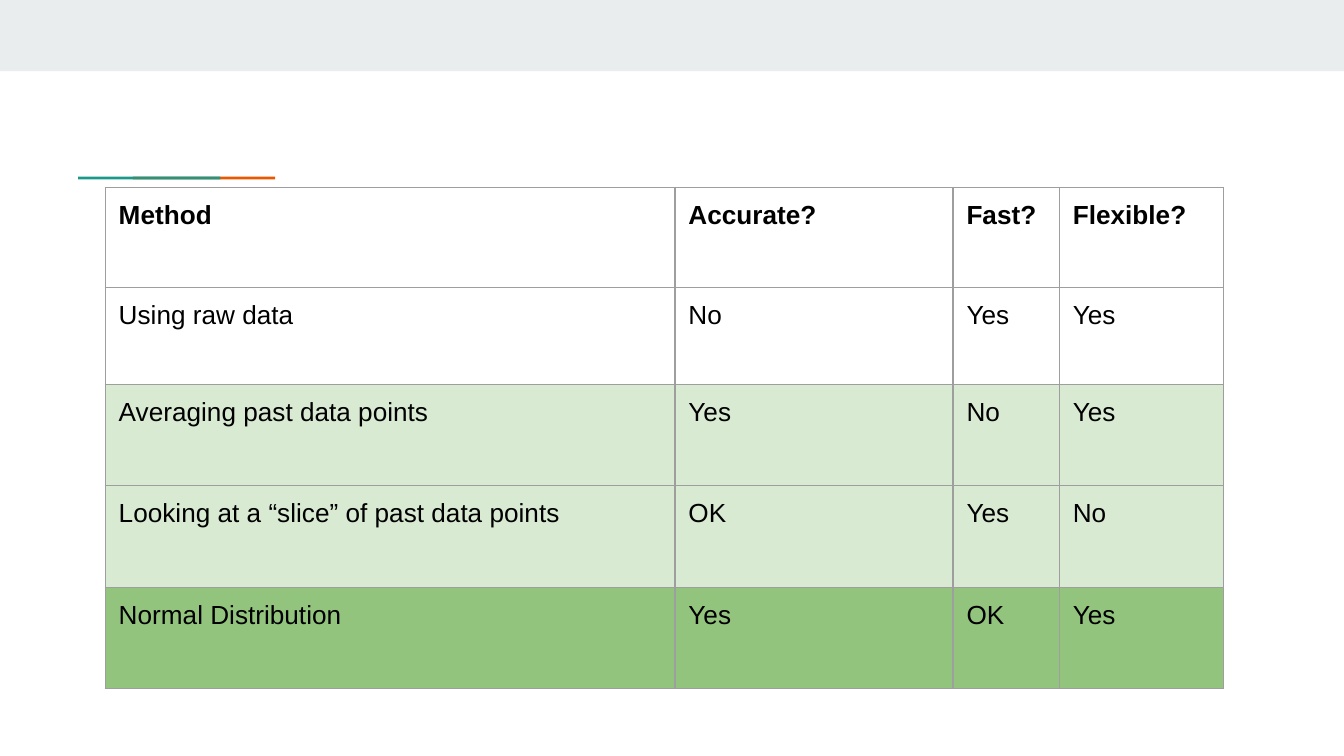
from dataclasses import dataclass
from typing import Optional

from lxml.etree import SubElement
from pptx import Presentation
from pptx.dml.color import RGBColor
from pptx.enum.shapes import MSO_SHAPE
from pptx.oxml.ns import qn
from pptx.slide import Slide
from pptx.table import _Cell
from pptx.util import Pt


@dataclass(frozen=True)
class Theme:
    band: str = "E9EDEE"
    orange: str = "EB5600"
    teal: str = "1A9988"
    text: str = "000000"
    border: str = "9E9E9E"
    light_green: str = "D9EAD3"
    green: str = "93C47D"
    font: str = "Arial"
    text_size: float = 14
    border_width: float = 0.75
    cell_margin: float = 7.2


@dataclass(frozen=True)
class Bar:
    left: float
    top: float
    width: float
    height: float
    color: str


@dataclass(frozen=True)
class MethodRow:
    entries: tuple[str, str, str, str]
    height: float
    fill: Optional[str] = None
    bold: bool = False


THEME = Theme()
BARS = (
    Bar(0, 0, 720, 38.2, THEME.band),
    Bar(71.2, 94.6, 76.2, 1.6, THEME.orange),
    Bar(41.9, 94.6, 76.2, 1.6, THEME.teal),
)
COLUMN_WIDTHS = (305.2, 149, 57, 87.8)
ROWS = (
    MethodRow(("Method", "Accurate?", "Fast?", "Flexible?"), 53.4, bold=True),
    MethodRow(("Using raw data", "No", "Yes", "Yes"), 52.2),
    MethodRow(("Averaging past data points", "Yes", "No", "Yes"), 54.2, THEME.light_green),
    MethodRow(("Looking at a “slice” of past data points", "OK", "Yes", "No"), 54.4, THEME.light_green),
    MethodRow(("Normal Distribution", "Yes", "OK", "Yes"), 54, THEME.green),
)


def draw_bar(slide: Slide, bar: Bar) -> None:
    """Draw a plain filled rectangle."""
    rectangle = slide.shapes.add_shape(
        MSO_SHAPE.RECTANGLE, Pt(bar.left), Pt(bar.top), Pt(bar.width), Pt(bar.height)
    )
    rectangle.shadow.inherit = False
    rectangle.fill.solid()
    rectangle.fill.fore_color.rgb = RGBColor.from_string(bar.color)
    rectangle.line.fill.background()


def add_borders(cell: _Cell) -> None:
    """Outline a cell on all four sides."""
    properties = cell._tc.get_or_add_tcPr()
    for position, side in enumerate(("lnL", "lnR", "lnT", "lnB")):
        border = SubElement(properties, qn(f"a:{side}"), w=str(Pt(THEME.border_width)))
        properties.insert(position, border)
        paint = SubElement(border, qn("a:solidFill"))
        SubElement(paint, qn("a:srgbClr"), val=THEME.border)


def fill_cell(cell: _Cell, entry: str, row: MethodRow) -> None:
    """Write and style one table cell."""
    cell.margin_left = cell.margin_right = Pt(THEME.cell_margin)
    cell.margin_top = cell.margin_bottom = Pt(THEME.cell_margin)
    if row.fill:
        cell.fill.solid()
        cell.fill.fore_color.rgb = RGBColor.from_string(row.fill)
    else:
        cell.fill.background()
    add_borders(cell)
    cell.text_frame.text = entry
    font = cell.text_frame.paragraphs[0].runs[0].font
    font.name = THEME.font
    font.size = Pt(THEME.text_size)
    font.bold = row.bold
    font.color.rgb = RGBColor.from_string(THEME.text)


def draw_methods(slide: Slide, left: float, top: float) -> None:
    """Draw the comparison of methods as a table."""
    methods = slide.shapes.add_table(
        len(ROWS), len(COLUMN_WIDTHS), Pt(left), Pt(top),
        Pt(sum(COLUMN_WIDTHS)), Pt(sum(row.height for row in ROWS)),
    ).table
    methods.first_row = methods.horz_banding = False
    for column, width in zip(methods.columns, COLUMN_WIDTHS):
        column.width = Pt(width)
    for table_row, row in zip(methods.rows, ROWS):
        table_row.height = Pt(row.height)
        for cell, entry in zip(table_row.cells, row.entries):
            fill_cell(cell, entry, row)


def main() -> None:
    """Build and save the slide."""
    presentation = Presentation()
    presentation.slide_width, presentation.slide_height = Pt(720), Pt(405)
    slide = presentation.slides.add_slide(presentation.slide_layouts[6])
    for bar in BARS:
        draw_bar(slide, bar)
    draw_methods(slide, 56.4, 100.5)
    presentation.save("out.pptx")


if __name__ == "__main__":
    main()
